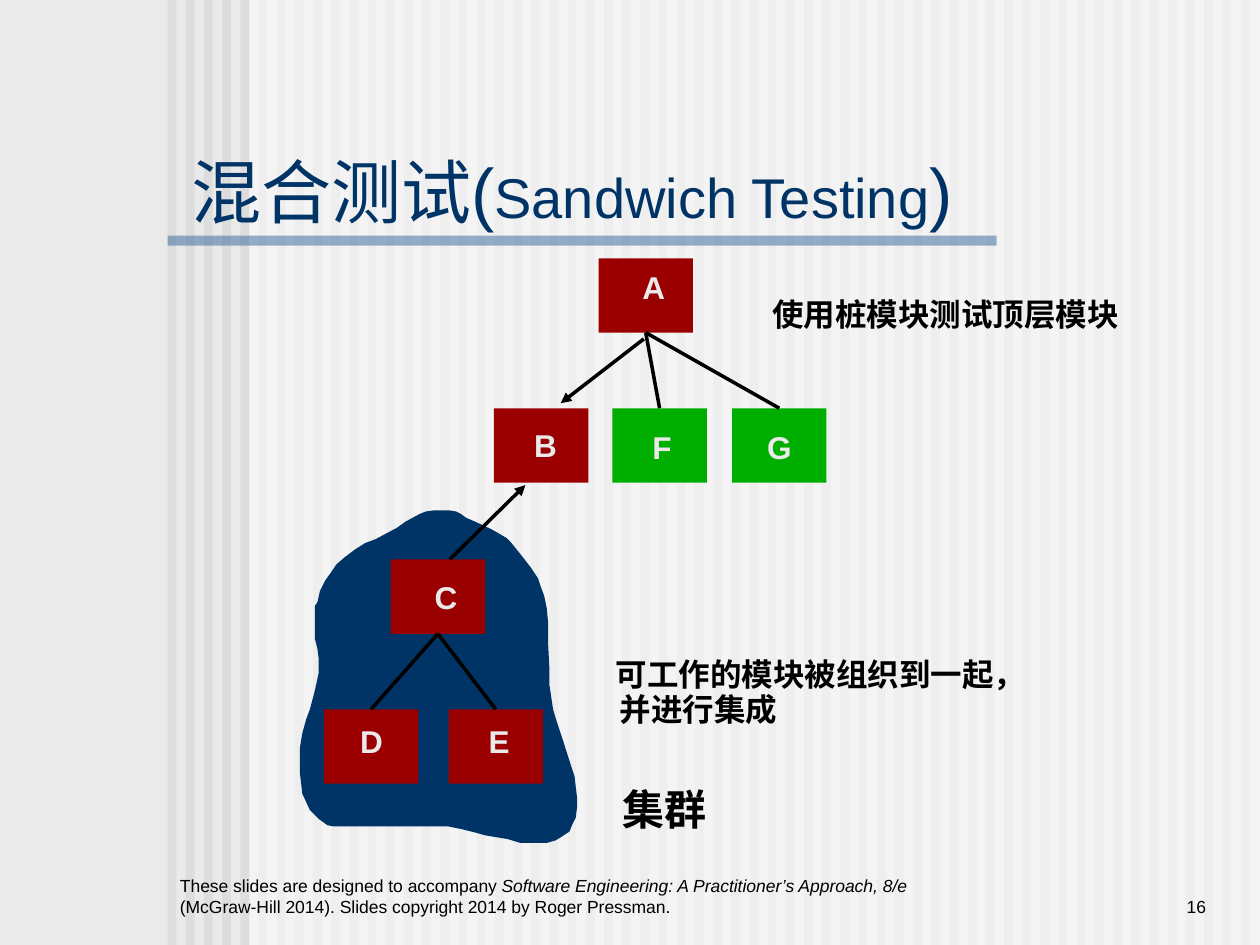
from lxml.etree import SubElement
from pptx import Presentation
from pptx.dml.color import RGBColor
from pptx.enum.shapes import MSO_CONNECTOR, MSO_SHAPE
from pptx.enum.text import MSO_ANCHOR, MSO_AUTO_SIZE, PP_ALIGN
from pptx.oxml.ns import qn
from pptx.util import Inches, Pt

BACKGROUND = RGBColor(0xEA, 0xEA, 0xEA)
STRIPE = RGBColor(0xDD, 0xDD, 0xDD)
WHITE = RGBColor(0xFF, 0xFF, 0xFF)
BLACK = RGBColor(0, 0, 0)
RULE_BLUE = RGBColor(0x33, 0x66, 0x99)
NAVY = RGBColor(0x00, 0x33, 0x66)
RED = RGBColor(0x9A, 0x00, 0x00)
GREEN = RGBColor(0x00, 0xAE, 0x00)

FONT = "Arial"
STRIPE_COUNT = 60
STRIPES_LEFT, STRIPES_END = 1.33, 9.99
MODULE_WIDTH, MODULE_HEIGHT = 0.75, 0.59
TOP, BOTTOM = 0, 2

MODULES = [
    ("A", 4.75, 2.05, RED, 5.0, 2.08),
    ("B", 3.92, 3.24, RED, 4.14, 3.33),
    ("C", 3.1, 4.44, RED, 3.35, 4.54),
    ("D", 2.57, 5.63, RED, 2.76, 5.68),
    ("E", 3.56, 5.63, RED, 3.78, 5.68),
    ("F", 4.86, 3.24, GREEN, 5.08, 3.35),
    ("G", 5.81, 3.24, GREEN, 5.99, 3.35),
]
CALLS = [("C", "D"), ("C", "E"), ("A", "F"), ("A", "G")]
ARROWS = [(5.11, 2.69, 4.45, 3.2), (3.57, 4.44, 4.17, 3.85)]
NOTES = [
    ("使用桩模块测试顶层模块", 6.03, 2.29, 2.95, 0.4, 18),
    ("可工作的模块被组织到一起，", 4.79, 5.15, 3.45, 0.4, 18),
    ("并进行集成", 4.82, 5.43, 1.45, 0.4, 18),
    ("集群", 4.84, 6.17, 0.9, 0.5, 24),
]
CLUSTER_OUTLINE = [
    (4.02, 4.27), (3.9, 4.2), (3.77, 4.14), (3.7, 4.11), (3.66, 4.08),
    (3.62, 4.06), (3.56, 4.05), (3.45, 4.05), (3.38, 4.06), (3.33, 4.08),
    (3.22, 4.14), (3.15, 4.19), (2.98, 4.28), (2.9, 4.31), (2.82, 4.36),
    (2.74, 4.42), (2.67, 4.48), (2.63, 4.54), (2.58, 4.61), (2.54, 4.69),
    (2.52, 4.78), (2.5, 4.81), (2.5, 5.07), (2.52, 5.15), (2.53, 5.23),
    (2.53, 5.34), (2.5, 5.48), (2.46, 5.63), (2.43, 5.71), (2.4, 5.82),
    (2.38, 5.94), (2.38, 6.13), (2.4, 6.3), (2.46, 6.43), (2.53, 6.5),
    (2.6, 6.55), (2.65, 6.56), (3.56, 6.56), (3.66, 6.58), (3.78, 6.61),
    (3.85, 6.63), (4.03, 6.66), (4.13, 6.69), (4.34, 6.69), (4.41, 6.67),
    (4.46, 6.64), (4.52, 6.6), (4.54, 6.55), (4.57, 6.49), (4.58, 6.41),
    (4.58, 6.33), (4.56, 6.16), (4.53, 6.07), (4.47, 5.88), (4.42, 5.73),
    (4.39, 5.63), (4.36, 5.43), (4.36, 5.29), (4.35, 5.09), (4.35, 4.93),
    (4.34, 4.83), (4.32, 4.73), (4.29, 4.65), (4.27, 4.59), (4.21, 4.5),
    (4.14, 4.41), (4.06, 4.31),
]


def inches(*lengths):
    return [Inches(length) for length in lengths]


def paint(shape, color, alpha=None):
    shape.shadow.inherit = False
    shape.fill.solid()
    shape.fill.fore_color.rgb = color
    shape.line.fill.background()
    if alpha is not None:
        tint = shape.element.spPr.find(qn("a:solidFill"))[0]
        SubElement(tint, qn("a:alpha")).set("val", str(alpha * 1000))
    return shape


def add_block(slide, box, color, alpha=None):
    block = slide.shapes.add_shape(MSO_SHAPE.RECTANGLE, *inches(*box))
    return paint(block, color, alpha)


def add_text(slide, box, runs, size, color=BLACK, bold=False, wrap=False,
             anchor=MSO_ANCHOR.TOP, align=PP_ALIGN.LEFT):
    frame = slide.shapes.add_textbox(*inches(*box)).text_frame
    frame.word_wrap = wrap
    frame.auto_size = MSO_AUTO_SIZE.NONE if wrap else MSO_AUTO_SIZE.SHAPE_TO_FIT_TEXT
    frame.vertical_anchor = anchor
    paragraph = frame.paragraphs[0]
    paragraph.alignment = align
    font = paragraph.font
    font.name, font.size, font.bold = FONT, Pt(size), bold
    font.color.rgb = color
    for text, italic in runs:
        run = paragraph.add_run()
        run.text = text
        if italic:
            run.font.italic = True


def add_line(slide, ends=(0, 0, 0, 0), arrow=False):
    line = slide.shapes.add_connector(MSO_CONNECTOR.STRAIGHT, *inches(*ends))
    line.line.color.rgb = BLACK
    line.line.width = Pt(2)
    properties = line.element.spPr
    if arrow:
        SubElement(properties.find(qn("a:ln")), qn("a:tailEnd")).set("type", "triangle")
    SubElement(properties, qn("a:effectLst"))
    return line


def add_backdrop(slide):
    slide.background.fill.solid()
    slide.background.fill.fore_color.rgb = BACKGROUND
    pitch = (STRIPES_END - STRIPES_LEFT) / STRIPE_COUNT
    for index in range(STRIPE_COUNT):
        add_block(slide, (STRIPES_LEFT + index * pitch, 0, 0.07, 7.5), STRIPE)
    add_block(slide, (1.98, 0, 8.02, 7.5), WHITE, 50)
    add_block(slide, (1.33, 1.87, 6.58, 0.08), RULE_BLUE, 50)


def add_title(slide):
    title = slide.shapes.title
    title.left, title.top, title.width, title.height = inches(1.42, 1.25, 7.41, 0.52)
    title.element.getparent().append(title.element)
    frame = title.text_frame
    frame.auto_size = MSO_AUTO_SIZE.NONE
    frame.vertical_anchor = MSO_ANCHOR.MIDDLE
    paragraph = frame.paragraphs[0]
    paragraph.alignment = PP_ALIGN.LEFT
    paragraph.font.name = FONT
    paragraph.font.color.rgb = NAVY
    for text, size in (("混合测试(", 40), ("Sandwich Testing", 32), (")", 40)):
        run = paragraph.add_run()
        run.text = text
        run.font.size = Pt(size)


def add_cluster(slide):
    start, *rest = [inches(*point) for point in CLUSTER_OUTLINE]
    outline = slide.shapes.build_freeform(*start)
    outline.add_line_segments(rest, close=True)
    paint(outline.convert_to_shape(), NAVY)


def add_modules(slide):
    modules = {}
    for letter, left, top, color, _, _ in MODULES:
        box = (left, top, MODULE_WIDTH, MODULE_HEIGHT)
        modules[letter] = add_block(slide, box, color)
    for caller, called in CALLS:
        call = add_line(slide)
        call.begin_connect(modules[caller], BOTTOM)
        call.end_connect(modules[called], TOP)
    for letter, _, _, _, left, top in MODULES:
        add_text(slide, (left, top, 0.38, 0.4), [(letter, False)], 18, BACKGROUND, True)
    for ends in ARROWS:
        add_line(slide, ends, arrow=True)


def add_footer(slide):
    credit = [
        ("These slides are designed to accompany ", False),
        ("Software Engineering: A Practitioner’s Approach, 8/e ", True),
        ("(McGraw-Hill 2014). Slides copyright 2014 by Roger Pressman.", False),
    ]
    add_text(slide, (1.33, 6.83, 6, 0.5), credit, 10, wrap=True, anchor=MSO_ANCHOR.BOTTOM)
    add_text(slide, (8.25, 6.83, 1.42, 0.5), [("16", False)], 10, wrap=True,
             anchor=MSO_ANCHOR.BOTTOM, align=PP_ALIGN.RIGHT)


def main():
    presentation = Presentation()
    presentation.slide_width, presentation.slide_height = inches(10, 7.5)
    slide = presentation.slides.add_slide(presentation.slide_layouts[5])
    add_backdrop(slide)
    add_footer(slide)
    add_title(slide)
    add_cluster(slide)
    add_modules(slide)
    for text, left, top, width, height, size in NOTES:
        add_text(slide, (left, top, width, height), [(text, False)], size, bold=True)
    presentation.save("out.pptx")


if __name__ == "__main__":
    main()
